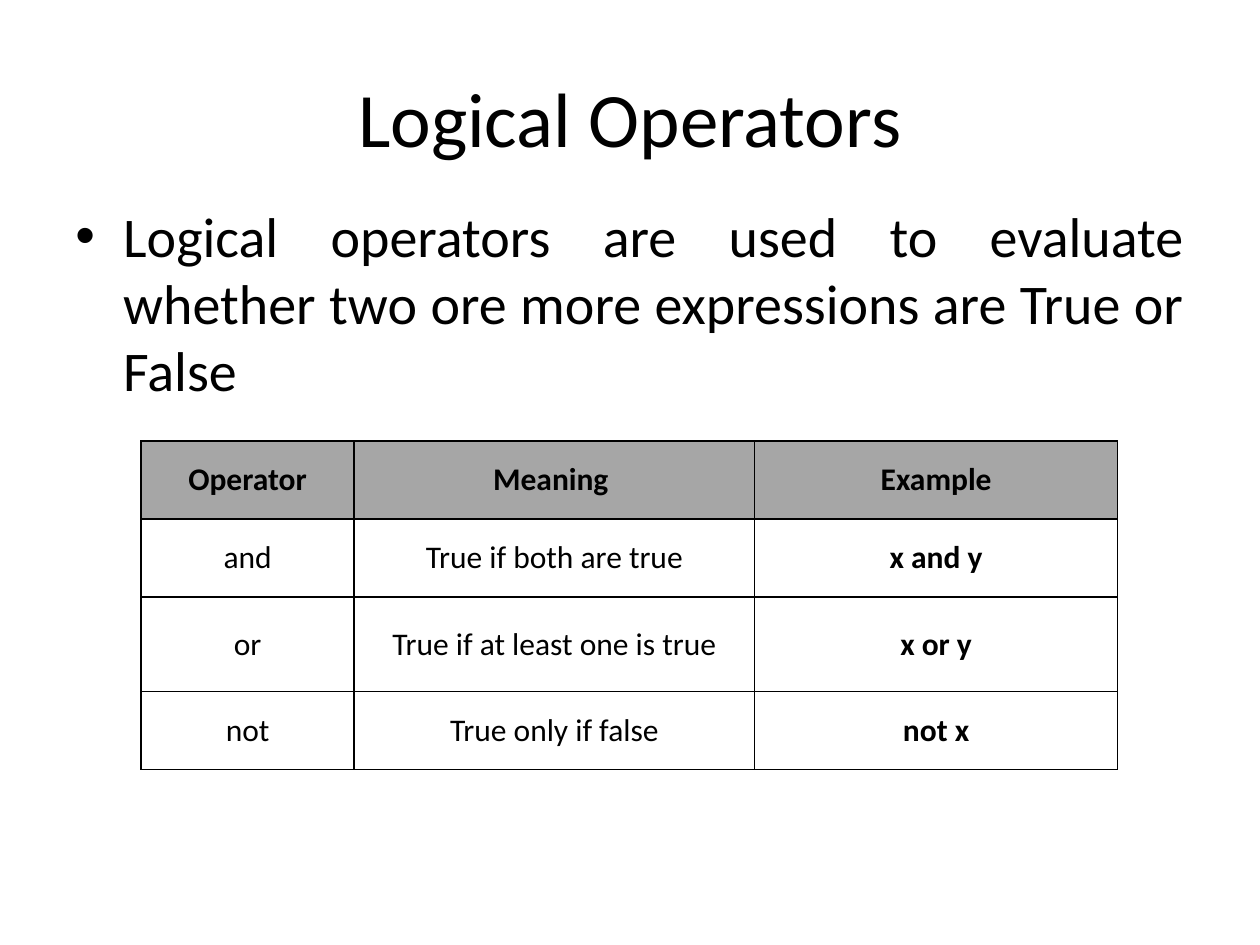
from dataclasses import dataclass

from lxml.etree import SubElement
from pptx import Presentation
from pptx.dml.color import RGBColor
from pptx.enum.text import MSO_ANCHOR, PP_ALIGN
from pptx.oxml.ns import qn
from pptx.util import Inches, Pt


@dataclass(frozen=True)
class Theme:
    """Colours, font and type sizes of the slide."""
    font: str = "Calibri"
    ink: str = "000000"
    paper: str = "FFFFFF"
    header: str = "A6A6A6"
    title_size: int = 44
    body_size: int = 32
    table_size: int = 18
    border: int = 1


class SlideBuilder:
    """Adds styled elements to the current slide."""

    def __init__(self, slide, theme):
        """Keep the slide and its theme."""
        self.slide = slide
        self.theme = theme

    def background(self):
        """Fill the slide background."""
        fill = self.slide.background.fill
        fill.solid()
        fill.fore_color.rgb = RGBColor.from_string(self.theme.paper)

    def styled_run(self, paragraph, text, size, align, bold=False):
        """Add one styled run to an aligned paragraph."""
        paragraph.alignment = align
        run = paragraph.add_run()
        run.text = text
        run.font.name = self.theme.font
        run.font.size = Pt(size)
        run.font.bold = bold
        run.font.color.rgb = RGBColor.from_string(self.theme.ink)

    def text(self, box, text, size, align, anchor=MSO_ANCHOR.TOP):
        """Add a wrapping text box and return its paragraph."""
        frame = self.slide.shapes.add_textbox(*map(Inches, box)).text_frame
        frame.word_wrap = True
        frame.vertical_anchor = anchor
        paragraph = frame.paragraphs[0]
        self.styled_run(paragraph, text, size, align)
        return paragraph

    def bullet(self, box, text, size, indent):
        """Add a justified bullet paragraph with a hanging indent."""
        paragraph = self.text(box, text, size, PP_ALIGN.JUSTIFY)
        paragraph.space_before = Pt(0.2 * size)
        props = paragraph._p.get_or_add_pPr()
        props.set("marL", str(Inches(indent)))
        props.set("indent", str(-Inches(indent)))
        SubElement(props, qn("a:buFont"), typeface="Arial")
        SubElement(props, qn("a:buChar"), char="•")

    def borders(self, cell):
        """Draw all four borders of a cell, ahead of its fill in the XML order."""
        props = cell._tc.get_or_add_tcPr()
        for position, side in enumerate(("a:lnL", "a:lnR", "a:lnT", "a:lnB")):
            line = SubElement(props, qn(side), w=str(Pt(self.theme.border)))
            fill = SubElement(line, qn("a:solidFill"))
            SubElement(fill, qn("a:srgbClr"), val=self.theme.ink)
            props.insert(position, line)

    def table(self, left, top, widths, heights, rows):
        """Add a bordered table with a shaded header and bold last column."""
        box = map(Inches, (left, top, sum(widths), sum(heights)))
        table = self.slide.shapes.add_table(len(rows), len(widths), *box).table
        table.horz_banding = False
        for column, width in zip(table.columns, widths):
            column.width = Inches(width)
        for row, height in zip(table.rows, heights):
            row.height = Inches(height)
        for r, row in enumerate(rows):
            for c, text in enumerate(row):
                cell = table.cell(r, c)
                cell.vertical_anchor = MSO_ANCHOR.MIDDLE
                cell.fill.solid()
                shade = self.theme.header if r == 0 else self.theme.paper
                cell.fill.fore_color.rgb = RGBColor.from_string(shade)
                self.borders(cell)
                self.styled_run(cell.text_frame.paragraphs[0], text, self.theme.table_size,
                                PP_ALIGN.CENTER, bold=r == 0 or c == len(row) - 1)


OPERATORS = [
    ("Operator", "Meaning ", "Example"),
    ("and", "True if both are true", "x and y"),
    ("or", "True if at least one is true", "x or y"),
    ("not", "True only if false", "not x"),
]


def main():
    """Build and save the slide on logical operators."""
    deck = Presentation()
    deck.slide_width, deck.slide_height = Inches(10), Inches(7.5)
    theme = Theme()
    builder = SlideBuilder(deck.slides.add_slide(deck.slide_layouts[6]), theme)
    builder.background()
    builder.text((0.5, 0.3, 9, 1.25), "Logical Operators", theme.title_size,
                 PP_ALIGN.CENTER, MSO_ANCHOR.MIDDLE)
    builder.bullet((0.5, 1.55, 9, 4.67),
                   "Logical operators are used to evaluate whether two ore more "
                   "expressions are True or False", theme.body_size, indent=0.38)
    builder.table(1.12, 3.5, (1.69, 3.18, 2.88), (0.62, 0.62, 0.75, 0.62), OPERATORS)
    deck.save("out.pptx")


main()
